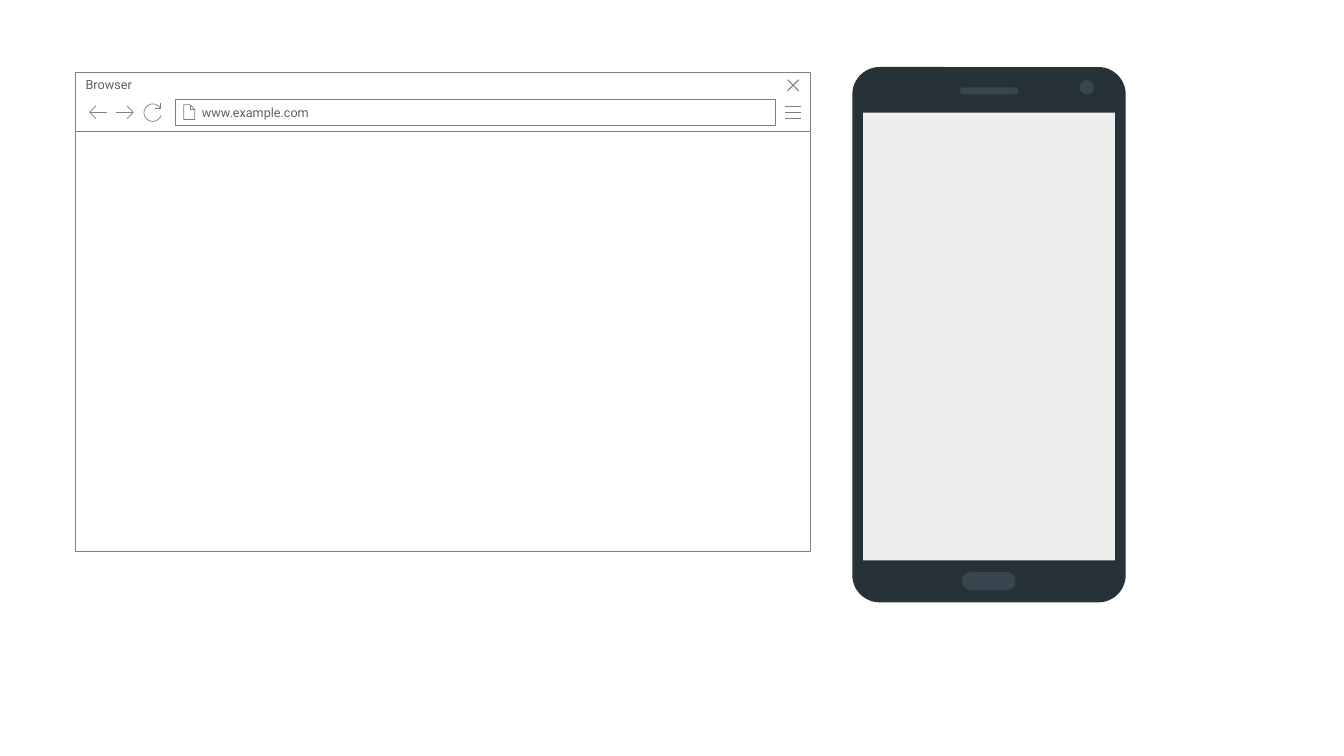
from dataclasses import dataclass
from math import cos, radians, sin

from pptx import Presentation
from pptx import util as u
from pptx.dml.color import RGBColor
from pptx.enum import shapes, text

KIND = shapes.MSO_SHAPE


@dataclass(frozen=True)
class Theme:
    font: str = "Roboto"
    size: float = 9
    ink: str = "5F5F5F"
    stroke: str = "808080"
    paper: str = "FFFFFF"
    case: str = "263238"
    detail: str = "37474F"
    screen: str = "EEEEEE"
    thin: float = 0.5
    medium: float = 0.75


class Mockup:
    def __init__(self, slide, theme):
        self.slide = slide
        self.theme = theme

    def shape(self, kind, x, y, w, h, fill, radius=None):
        sp = self.slide.shapes.add_shape(kind, u.Cm(x), u.Cm(y), u.Cm(w), u.Cm(h))
        sp.shadow.inherit = False
        sp.fill.solid()
        sp.fill.fore_color.rgb = RGBColor.from_string(fill)
        sp.line.fill.background()
        if radius is not None:
            sp.adjustments[0] = radius / min(w, h)
        return sp

    def outline(self, sp, width):
        sp.line.color.rgb = RGBColor.from_string(self.theme.stroke)
        sp.line.width = u.Pt(width)

    def panel(self, x, y, w, h):
        sp = self.shape(KIND.RECTANGLE, x, y, w, h, self.theme.paper)
        self.outline(sp, self.theme.thin)
        return sp

    def label(self, sp, words, left, right, anchor):
        tf = sp.text_frame
        tf.word_wrap = True
        tf.vertical_anchor = anchor
        tf.margin_left, tf.margin_right = u.Cm(left), u.Cm(right)
        tf.margin_top = tf.margin_bottom = u.Cm(0.13)
        p = tf.paragraphs[0]
        p.alignment = text.PP_ALIGN.LEFT
        r = p.add_run()
        r.text = words
        r.font.name = self.theme.font
        r.font.size = u.Pt(self.theme.size)
        r.font.color.rgb = RGBColor.from_string(self.theme.ink)

    def icon(self, strokes, width):
        strokes = [[(u.Cm(x), u.Cm(y)) for x, y in s] for s in strokes]
        builder = self.slide.shapes.build_freeform(*strokes[0][0])
        builder.add_line_segments(strokes[0][1:], close=False)
        for stroke in strokes[1:]:
            builder.move_to(*stroke[0])
            builder.add_line_segments(stroke[1:], close=False)
        sp = builder.convert_to_shape()
        sp.shadow.inherit = False
        sp.fill.background()
        self.outline(sp, width)

    def arrow(self, tail, tip):
        mid, half = 2.83, 0.16
        neck = tip + (half if tail > tip else -half)
        head = [(neck, mid - half), (tip, mid), (neck, mid + half)]
        self.icon([head, [(tail, mid), (tip, mid)]], self.theme.thin)

    def reload(self, cx, cy, radius):
        arc = [(cx + radius * cos(radians(a)), cy + radius * sin(radians(a)))
               for a in range(18, 331, 6)]
        x, y = arc[-1]
        hook = [(x, y - 0.14), (x, y), (x - 0.14, y)]
        self.icon([hook, arc], self.theme.thin)

    def page(self, left, top, right, bottom, fold):
        x, y = right - fold, top + fold
        sheet = [(left, top), (left, bottom), (right, bottom), (right, y),
                 (x, top), (left, top)]
        self.icon([[(x, top), (x, y), (right, y)], sheet], self.theme.thin)

    def browser(self):
        t = self.theme
        self.panel(1.91, 3.31, 18.52, 10.59)
        bar = self.panel(1.91, 1.82, 18.52, 1.49)
        self.label(bar, "Browser", 0.25, 0.64, text.MSO_ANCHOR.TOP)
        self.icon([[(19.79, y), (20.19, y)] for y in (2.67, 2.83, 2.99)], t.thin)
        left, top, right, bottom = 19.85, 2.01, 20.13, 2.29
        self.icon([[(right, top), (left, bottom)],
                   [(left, top), (right, bottom)]], t.medium)
        address = self.panel(4.43, 2.51, 15.11, 0.66)
        self.label(address, "www.example.com", 0.66, 0.25, text.MSO_ANCHOR.MIDDLE)
        self.page(4.63, 2.64, 4.91, 3.01, 0.12)
        self.arrow(2.7, 2.26)
        self.arrow(2.92, 3.36)
        self.reload(3.85, 2.84, 0.22)

    def phone(self):
        t = self.theme
        self.shape(KIND.ROUNDED_RECTANGLE, 21.48, 1.69, 6.89, 13.49, t.case, 0.69)
        self.shape(KIND.ROUNDED_RECTANGLE, 24.24, 14.41, 1.36, 0.46, t.detail, 0.23)
        self.shape(KIND.OVAL, 27.21, 2.02, 0.36, 0.36, t.detail)
        self.shape(KIND.ROUNDED_RECTANGLE, 24.19, 2.2, 1.47, 0.18, t.detail, 0.09)
        self.shape(KIND.RECTANGLE, 21.75, 2.84, 6.35, 11.28, t.screen)


def main():
    prs = Presentation()
    prs.slide_width, prs.slide_height = u.Cm(33.87), u.Cm(19.05)
    mockup = Mockup(prs.slides.add_slide(prs.slide_layouts[6]), Theme())
    mockup.browser()
    mockup.phone()
    prs.save("out.pptx")


if __name__ == "__main__":
    main()
